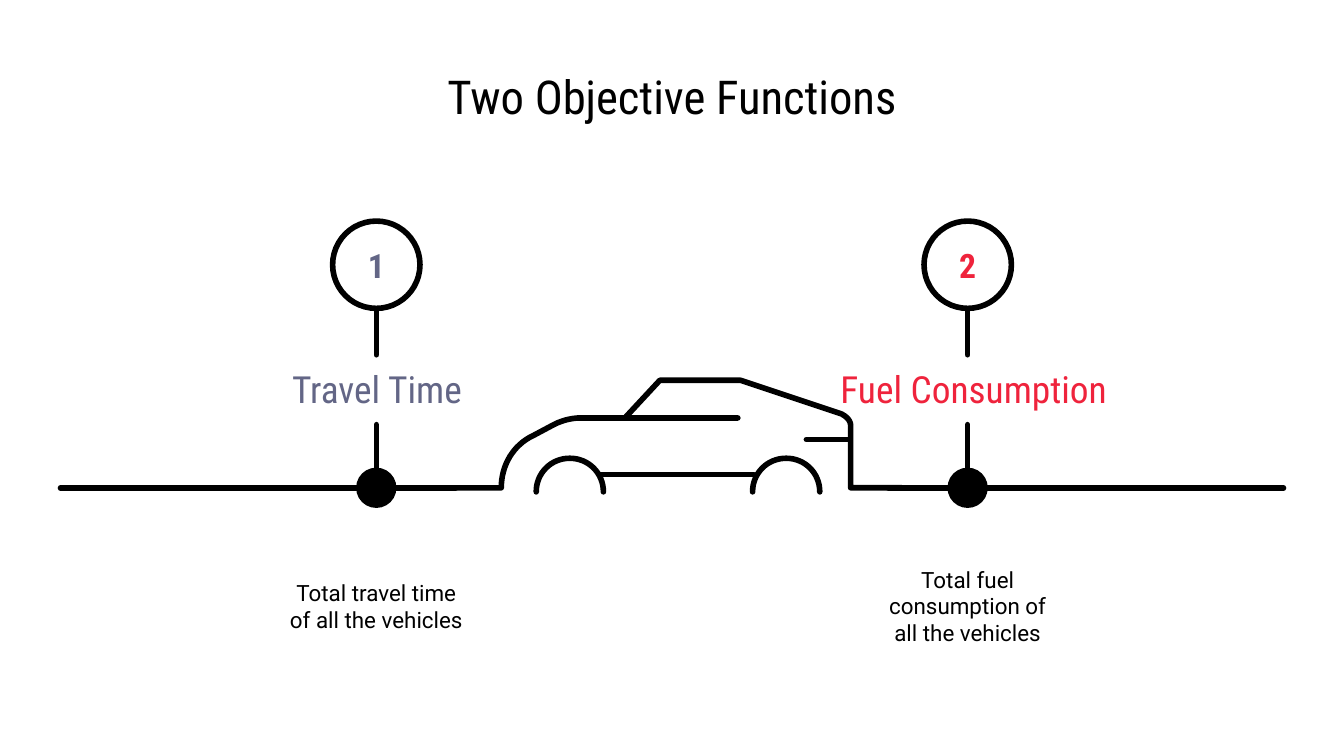
"""Build the slide on the two objective functions, with a car on a road timeline."""
from dataclasses import dataclass

from lxml import etree
from pptx import Presentation
from pptx import util as u
from pptx.dml.color import RGBColor
from pptx.enum import shapes, text
from pptx.oxml.ns import qn

Point = tuple[float, float]


@dataclass(frozen=True)
class Theme:
    black: str = "000000"
    white: str = "FFFFFF"
    slate: str = "636686"
    red: str = "EF233C"
    heading_font: str = "Roboto Condensed"
    body_font: str = "Roboto"
    title_size: int = 25
    label_size: int = 20
    number_size: int = 18
    body_size: int = 12
    line_width: int = 3


@dataclass(frozen=True)
class Objective:
    number: str
    label: str
    description: str
    color: str
    center: float
    label_left: float
    label_width: float


@dataclass(frozen=True)
class Outline:
    """An open path whose steps hold one point for a line or three for a curve."""
    start: Point
    steps: tuple[tuple[Point, ...], ...]


THEME = Theme()
ROAD_Y = 3.63
CURVE_SEGMENTS = 16
DESCRIPTION_WIDTH = 1.49

OBJECTIVES = (
    Objective("1", "Travel Time", "Total travel time of all the vehicles",
              THEME.slate, 2.8, 2.06, 1.49),
    Objective("2", "Fuel Consumption", "Total fuel consumption of all the vehicles",
              THEME.red, 7.2, 6.15, 2.19),
)


def wheel_arch(center: float) -> Outline:
    """Return a half circle above a wheel."""
    left, right = center - 0.25, center + 0.25
    return Outline((left, 3.66), (
        ((left, 3.52), (center - 0.14, 3.41), (center, 3.41)),
        ((center + 0.14, 3.41), (right, 3.52), (right, 3.66)),
    ))


CAR_OUTLINES = (
    Outline((3.29, ROAD_Y), (
        ((3.73, ROAD_Y),),
        ((3.73, 3.46), (3.82, 3.31), (3.97, 3.24)),
        ((4.12, 3.16),),
        ((4.18, 3.13), (4.25, 3.11), (4.32, 3.11)),
        ((5.49, 3.11),),
    )),
    Outline((6.71, ROAD_Y), (
        ((6.33, ROAD_Y),),
        ((6.33, 3.17),),
        ((6.33, 3.13), (6.3, 3.1), (6.26, 3.08)),
        ((5.51, 2.83),),
        ((4.91, 2.83),),
        ((4.65, 3.11),),
    )),
    wheel_arch(4.24),
    wheel_arch(5.85),
)
STRAIGHT_LINES = (
    ((4.46, 3.53), (5.61, 3.53)),
    ((6.31, 3.27), (6, 3.27)),
    ((0.45, ROAD_Y), (3.39, ROAD_Y)),
    ((6.61, ROAD_Y), (9.55, ROAD_Y)),
)


def curve_points(start: Point, controls: tuple[Point, ...]) -> list[Point]:
    """Return points along a cubic Bézier curve."""
    points = []
    corners = (start, *controls)
    for index in range(1, CURVE_SEGMENTS + 1):
        t = index / CURVE_SEGMENTS
        weights = ((1 - t) ** 3, 3 * t * (1 - t) ** 2, 3 * t * t * (1 - t), t ** 3)
        points.append(tuple(sum(weight * corner[axis] for weight, corner in zip(weights, corners))
                            for axis in (0, 1)))
    return points


def style_line(shape, round_ends: bool = True) -> None:
    """Give a shape or connector the black line of the drawing."""
    shape.line.color.rgb = RGBColor.from_string(THEME.black)
    shape.line.width = u.Pt(THEME.line_width)
    if round_ends:
        shape._element.spPr.find(qn("a:ln")).set("cap", "rnd")


def add_line(slide, start: Point, end: Point) -> None:
    """Draw a straight line with round ends."""
    connector = slide.shapes.add_connector(
        shapes.MSO_CONNECTOR.STRAIGHT, *map(u.Inches, (*start, *end)))
    style_line(connector)
    etree.SubElement(connector._element.spPr, qn("a:effectLst"))


def add_outline(slide, outline: Outline) -> None:
    """Draw an open path made of lines and curves."""
    points = [outline.start]
    for step in outline.steps:
        points += curve_points(points[-1], step) if len(step) == 3 else step
    start, *rest = [(u.Inches(x), u.Inches(y)) for x, y in points]
    builder = slide.shapes.build_freeform(*start)
    builder.add_line_segments(rest, close=False)
    shape = builder.convert_to_shape()
    shape.shadow.inherit = False
    shape.fill.background()
    style_line(shape)


def set_text(shape, content: str, *, size: int, color: str = THEME.black,
             font: str = THEME.heading_font, bold: bool = False) -> None:
    """Write centred text into a shape."""
    frame = shape.text_frame
    frame.word_wrap = True
    frame.auto_size = text.MSO_AUTO_SIZE.NONE
    frame.vertical_anchor = text.MSO_ANCHOR.MIDDLE
    frame.margin_left = frame.margin_right = u.Inches(0.1)
    frame.margin_top = frame.margin_bottom = u.Inches(0.1)
    paragraph = frame.paragraphs[0]
    paragraph.alignment = text.PP_ALIGN.CENTER
    run = paragraph.add_run()
    run.text = content
    run.font.name = font
    run.font.size = u.Pt(size)
    run.font.bold = bold
    run.font.color.rgb = RGBColor.from_string(color)


def add_text(slide, box: tuple[float, float, float, float], content: str, **style) -> None:
    """Add a text box."""
    set_text(slide.shapes.add_textbox(*map(u.Inches, box)), content, **style)


def add_circle(slide, center: Point, diameter: float, fill: str):
    """Add a filled circle without a line around a centre."""
    left, top = (value - diameter / 2 for value in center)
    circle = slide.shapes.add_shape(
        shapes.MSO_SHAPE.OVAL, *map(u.Inches, (left, top, diameter, diameter)))
    circle.shadow.inherit = False
    circle.fill.solid()
    circle.fill.fore_color.rgb = RGBColor.from_string(fill)
    circle.line.fill.background()
    return circle


def add_objective(slide, objective: Objective) -> None:
    """Draw one numbered stop with its label and description."""
    center = objective.center
    for top, bottom in ((2.27, 2.64), (3.16, 3.52)):
        add_line(slide, (center, top), (center, bottom))
    add_text(slide, (objective.label_left, 2.66, objective.label_width, 0.47), objective.label,
             size=THEME.label_size, color=objective.color)
    add_text(slide, (center - DESCRIPTION_WIDTH / 2, 4.13, DESCRIPTION_WIDTH, 0.76),
             objective.description, size=THEME.body_size, font=THEME.body_font)
    badge = add_circle(slide, (center, 1.97), 0.65, THEME.white)
    style_line(badge, round_ends=False)
    set_text(badge, objective.number, size=THEME.number_size, color=objective.color, bold=True)
    add_circle(slide, (center, ROAD_Y), 0.3, THEME.black)


def main() -> None:
    """Create and save the presentation."""
    presentation = Presentation()
    presentation.slide_width = u.Inches(10)
    presentation.slide_height = u.Inches(10 * 9 / 16)
    slide = presentation.slides.add_slide(presentation.slide_layouts[5])
    title = slide.shapes.title
    title.left, title.top, title.width, title.height = map(u.Inches, (0.45, 0.45, 9.1, 0.53))
    set_text(title, "Two Objective Functions", size=THEME.title_size)
    for outline in CAR_OUTLINES:
        add_outline(slide, outline)
    for start, end in STRAIGHT_LINES:
        add_line(slide, start, end)
    for objective in OBJECTIVES:
        add_objective(slide, objective)
    presentation.save("out.pptx")


if __name__ == "__main__":
    main()
